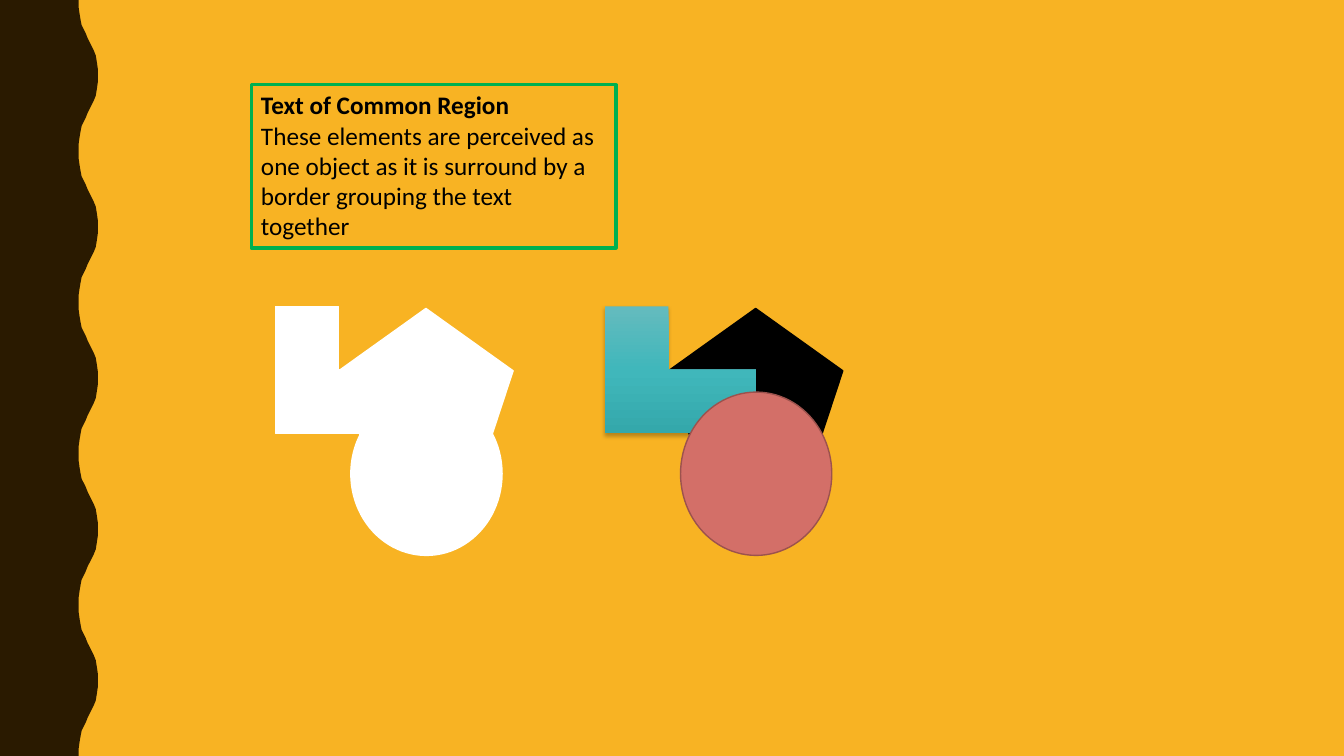
import copy

import pptx
import pptx.dml.color
import pptx.enum.shapes
import pptx.enum.text
import pptx.oxml
import pptx.oxml.ns
import pptx.util

RGBColor = pptx.dml.color.RGBColor
PresetShape = pptx.enum.shapes.MSO_SHAPE

AMBER = RGBColor(0xF8, 0xB3, 0x23)
BROWN = RGBColor(0x2A, 0x1A, 0x00)
GREEN = RGBColor(0x00, 0xB0, 0x50)
BLACK = RGBColor(0x00, 0x00, 0x00)
WHITE = RGBColor(0xFF, 0xFF, 0xFF)
CORAL = RGBColor(0xD3, 0x6F, 0x68)
DARK_CORAL = RGBColor(0x9C, 0x52, 0x4D)
TEAL_STOPS = (
    (0, RGBColor(0x64, 0xBB, 0xBE)),
    (0.5, RGBColor(0x40, 0xB7, 0xBB)),
    (1, RGBColor(0x34, 0xA8, 0xAB)),
)

COLUMNS, ROWS = 13.33, 7.5
CELL = pptx.util.Inches(1)
WAVE_COUNT = 5
HALF_WAVE = (
    (0.78, 0), (0.78, 0.07), (0.79, 0.14), (0.8, 0.2), (0.81, 0.25),
    (0.83, 0.29), (0.85, 0.33), (0.87, 0.38), (0.89, 0.42), (0.91, 0.46),
    (0.93, 0.5), (0.95, 0.55), (0.96, 0.61), (0.97, 0.68), (0.97, 0.75),
)
FIGURE_PARTS = {
    "corner": (PresetShape.RECTANGLE, 0, 0, 1.5, 1.26),
    "pentagon": (PresetShape.REGULAR_PENTAGON, 0.63, 0.02, 1.73, 1.62),
    "circle": (PresetShape.OVAL, 0.75, 0.85, 1.5, 1.62),
}


def cells(*lengths):
    """Convert grid lengths to slide units."""
    return [round(length * CELL) for length in lengths]


def add_text(text_frame, text, size=18, bold=False, color=BLACK, font="Calibri", first=False):
    """Write one formatted paragraph into a text frame."""
    paragraph = text_frame.paragraphs[0] if first else text_frame.add_paragraph()
    run = paragraph.add_run()
    run.text = text
    run.font.size = pptx.util.Pt(size)
    run.font.bold = bold
    run.font.name = font
    run.font.color.rgb = color


def add_wavy_edge(slide, left, top, height):
    """Draw the dark band with its rippled right side."""
    period = height / WAVE_COUNT
    wave = HALF_WAVE + tuple((x, period - y) for x, y in HALF_WAVE[-2::-1])
    points = [
        cells(left + x, top + index * period + y)
        for index in range(WAVE_COUNT)
        for x, y in wave
    ]
    builder = slide.shapes.build_freeform(*cells(left, top))
    builder.add_line_segments(points + [cells(left, top + height)], close=True)
    band = builder.convert_to_shape()
    band.shadow.inherit = False
    band.fill.solid()
    band.fill.fore_color.rgb = BROWN
    band.line.fill.background()


def add_caption(slide, left, top, width, height):
    """Place the bordered statement of the principle."""
    caption = slide.shapes.add_textbox(*cells(left, top, width, height))
    caption.line.color.rgb = GREEN
    caption.line.width = pptx.util.Pt(2.25)
    text_frame = caption.text_frame
    text_frame.word_wrap = True
    text_frame.auto_size = pptx.enum.text.MSO_AUTO_SIZE.SHAPE_TO_FIT_TEXT
    add_text(text_frame, "Text of Common Region", bold=True, first=True)
    add_text(
        text_frame,
        "These elements are perceived as one object as it is surround by a "
        "border grouping the text together",
    )


def fill_gradient(shape, stops):
    """Fill a shape from top to bottom with three colour stops."""
    shape.fill.gradient()
    shape.fill.gradient_angle = 270
    stop_list = shape._element.spPr.find(".//" + pptx.oxml.ns.qn("a:gsLst"))
    stop_list.append(copy.deepcopy(stop_list[-1]))
    for stop, (position, color) in zip(shape.fill.gradient_stops, stops):
        stop.position = position
        stop.color.rgb = color


def add_soft_shadow(shape):
    """Give a shape a faint shadow below it."""
    effects = shape._element.spPr.find(pptx.oxml.ns.qn("a:effectLst"))
    effects.append(pptx.oxml.parse_xml(
        f'<a:outerShdw {pptx.oxml.ns.nsdecls("a")} blurRad="{pptx.util.Pt(3)}" '
        f'dist="{pptx.util.Pt(2)}" dir="5400000" rotWithShape="0">'
        '<a:srgbClr val="000000"><a:alpha val="25000"/></a:srgbClr></a:outerShdw>'
    ))


def add_figure(slide, left, top, styles):
    """Stack the named parts, each with its fill and line colours."""
    for name, (fill, line) in styles.items():
        preset, across, down, width, height = FIGURE_PARTS[name]
        shape = slide.shapes.add_shape(preset, *cells(left + across, top + down, width, height))
        if name == "corner":
            shape._element.spPr.find(pptx.oxml.ns.qn("a:prstGeom")).set("prst", name)
        shape.shadow.inherit = False
        if line is None:
            shape.line.fill.background()
            fill_gradient(shape, fill)
            add_soft_shadow(shape)
        else:
            shape.fill.solid()
            shape.fill.fore_color.rgb = fill
            shape.line.color.rgb = line
            shape.line.width = pptx.util.Pt(1)


def main():
    """Build and save the slide."""
    presentation = pptx.Presentation()
    presentation.slide_width, presentation.slide_height = cells(COLUMNS, ROWS)
    slide = presentation.slides.add_slide(presentation.slide_layouts[6])
    slide.background.fill.solid()
    slide.background.fill.fore_color.rgb = AMBER
    add_wavy_edge(slide, 0, 0, ROWS)
    add_caption(slide, 2.49, 0.84, 3.62, 1.62)
    add_figure(slide, 2.73, 3.04, {name: (WHITE, WHITE) for name in FIGURE_PARTS})
    add_figure(slide, 6, 3.04, {
        "pentagon": (BLACK, BLACK),
        "corner": (TEAL_STOPS, None),
        "circle": (CORAL, DARK_CORAL),
    })
    presentation.save("out.pptx")


if __name__ == "__main__":
    main()
